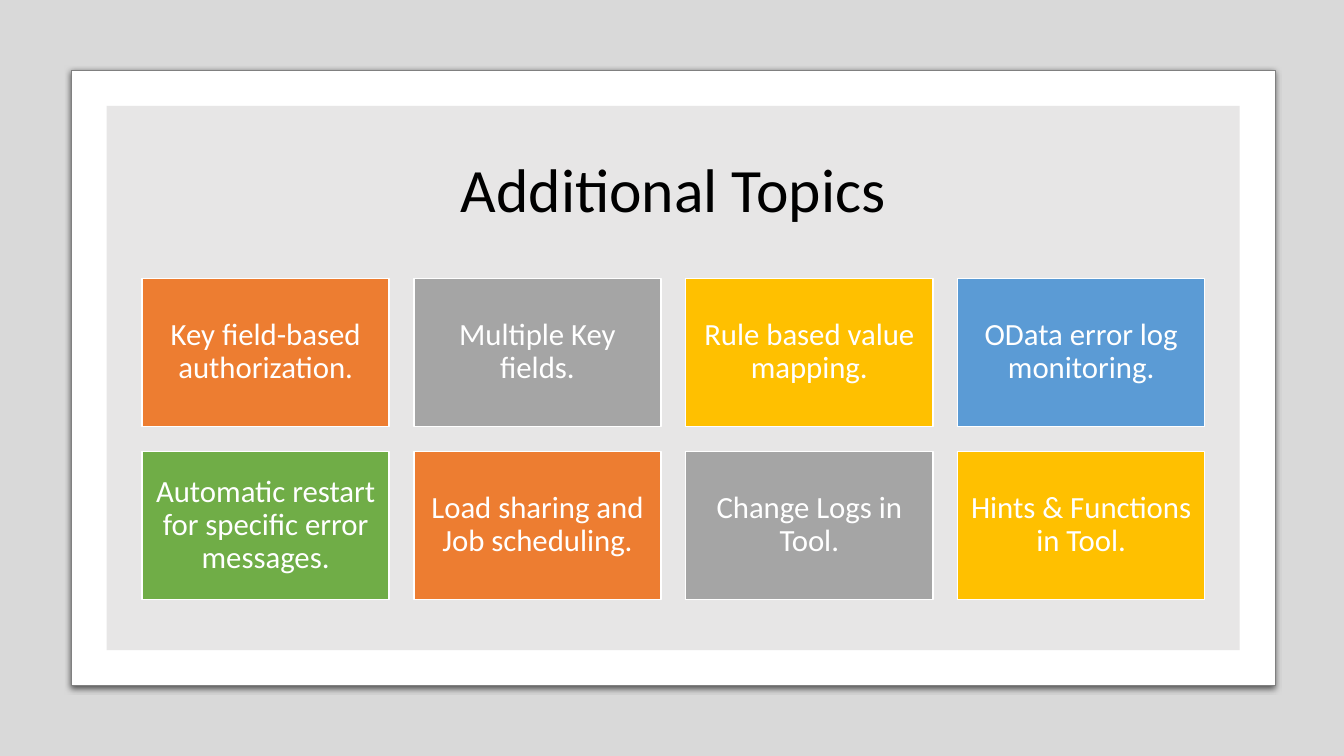
from dataclasses import dataclass

from lxml.etree import SubElement
from pptx import Presentation
from pptx.dml.color import RGBColor
from pptx.enum.shapes import MSO_SHAPE
from pptx.enum.text import MSO_ANCHOR, PP_ALIGN
from pptx.oxml.ns import qn
from pptx.util import Pt


@dataclass(frozen=True)
class Theme:
    """Colours, font and type sizes of the slide."""
    font: str = "Calibri"
    title_size: int = 44
    card_size: int = 22
    black: str = "000000"
    white: str = "FFFFFF"
    panel: str = "E7E6E6"
    outline: str = "808080"
    orange: str = "ED7D31"
    gray: str = "A5A5A5"
    gold: str = "FFC000"
    blue: str = "5B9BD5"
    green: str = "70AD47"


THEME = Theme()
WIDTH, HEIGHT = 960, 540
TOPICS = [
    ("Key field-based authorization.", THEME.orange),
    ("Multiple Key fields.", THEME.gray),
    ("Rule based value mapping.", THEME.gold),
    ("OData error log monitoring.", THEME.blue),
    ("Automatic restart for specific error messages.", THEME.green),
    ("Load sharing and Job scheduling.", THEME.orange),
    ("Change Logs in Tool.", THEME.gray),
    ("Hints & Functions in Tool.", THEME.gold),
]


def add_box(s, box, fill, line=None, line_width=1, kind=MSO_SHAPE.RECTANGLE):
    """Add a filled shape in the given box, outlined if a line colour is given."""
    sp = s.shapes.add_shape(kind, *map(Pt, box))
    sp.shadow.inherit = False
    sp.fill.solid()
    sp.fill.fore_color.rgb = RGBColor.from_string(fill)
    if line:
        sp.line.color.rgb = RGBColor.from_string(line)
        sp.line.width = Pt(line_width)
    else:
        sp.line.fill.background()
    return sp


def write(sp, text, size, color):
    """Write one centred paragraph in the middle of a shape."""
    tf = sp.text_frame
    tf.word_wrap = True
    tf.vertical_anchor = MSO_ANCHOR.MIDDLE
    p = tf.paragraphs[0]
    p.text = text
    p.alignment = PP_ALIGN.CENTER
    p.line_spacing = 0.9
    p.font.name = THEME.font
    p.font.size = Pt(size)
    p.font.color.rgb = RGBColor.from_string(color)


def set_alpha(color, percent):
    """Set the opacity of a colour element."""
    SubElement(color, qn("a:alpha"), val=str(percent * 1000))


def add_backdrop(s, box):
    """Tint the whole box with translucent black."""
    sp = add_box(s, box, THEME.black)
    set_alpha(sp.element.spPr.find(qn("a:solidFill"))[0], 15)


def add_frame(s, box, border):
    """Add the white frame with its shadow and the panel inside its border."""
    left, top, width, height = box
    sp = add_box(s, box, THEME.white, THEME.outline, 0.75, MSO_SHAPE.ROUNDED_RECTANGLE)
    sp.adjustments[0] = 0
    shadow = SubElement(
        sp.element.spPr.find(qn("a:effectLst")), qn("a:outerShdw"),
        blurRad=str(Pt(4.5)), dist=str(Pt(1.5)), dir="5400000",
        algn="ctr", rotWithShape="0")
    set_alpha(SubElement(shadow, qn("a:srgbClr"), val=THEME.black), 63)
    panel = (left + border, top + border, width - 2 * border, height - 2 * border)
    add_box(s, panel, THEME.panel)


def add_title(s, box, text):
    """Add the slide title."""
    write(s.shapes.add_textbox(*map(Pt, box)), text, THEME.title_size, THEME.black)


def add_topics(s, box, topics, columns=4):
    """Lay topic cards out in a grid, with gaps a tenth of a card wide."""
    left, top, total = box
    width = total / (columns + 0.1 * (columns - 1))
    height, gap = 0.6 * width, 0.1 * width
    for i, (text, fill) in enumerate(topics):
        row, col = divmod(i, columns)
        x, y = left + col * (width + gap), top + row * (height + gap)
        sp = add_box(s, (x, y, width, height), fill, THEME.white)
        tf = sp.text_frame
        tf.margin_left = tf.margin_right = tf.margin_top = tf.margin_bottom = Pt(6.6)
        write(sp, text, THEME.card_size, THEME.white)


def main():
    """Build and save the slide."""
    prs = Presentation()
    prs.slide_width, prs.slide_height = Pt(WIDTH), Pt(HEIGHT)
    s = prs.slides.add_slide(prs.slide_layouts[6])
    add_backdrop(s, (0, 0, WIDTH, HEIGHT))
    add_frame(s, (51, 50.4, 859.8, 439.2), 25.2)
    add_title(s, (101.5, 100.8, 759, 73.4), "Additional Topics")
    add_topics(s, (101.5, 198.8, 759), TOPICS)
    prs.save("out.pptx")


if __name__ == "__main__":
    main()
